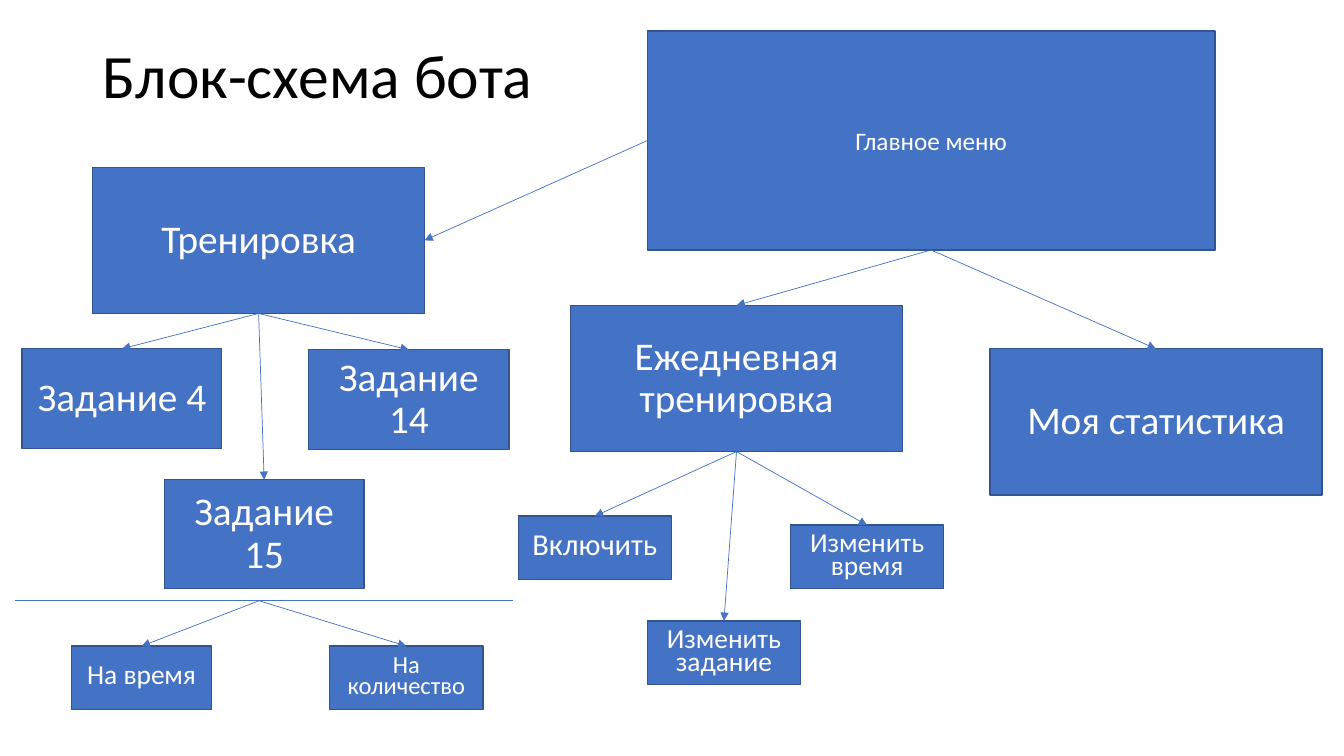
from dataclasses import dataclass

from lxml import etree
from pptx import Presentation
from pptx import util as u
from pptx.dml.color import RGBColor
from pptx.enum import shapes, text
from pptx.oxml.ns import qn


@dataclass(frozen=True)
class Theme:
    font: str = "Calibri"
    fill: RGBColor = RGBColor(0x44, 0x72, 0xC4)
    border: RGBColor = RGBColor(0x32, 0x54, 0x91)
    title_color: RGBColor = RGBColor(0, 0, 0)
    node_color: RGBColor = RGBColor(0xFF, 0xFF, 0xFF)
    title: float = 44
    menu: float = 18
    section: float = 28
    option: float = 21.7
    option_small: float = 19.6
    option_tiny: float = 17.5


THEME = Theme()
TOP, LEFT, BOTTOM, RIGHT = range(4)


def add_title(s, x, y, w, h, label):
    tf = s.shapes.add_textbox(*map(u.Inches, (x, y, w, h))).text_frame
    tf.word_wrap = True
    tf.vertical_anchor = text.MSO_ANCHOR.TOP
    p = tf.paragraphs[0]
    p.text = label
    p.line_spacing = 0.9
    p.font.name, p.font.size = THEME.font, u.Pt(THEME.title)
    p.font.color.rgb = THEME.title_color


def add_node(s, x, y, w, h, label, size=THEME.section, spacing=0.9, before=10):
    sp = s.shapes.add_shape(shapes.MSO_SHAPE.RECTANGLE, *map(u.Inches, (x, y, w, h)))
    sp.shadow.inherit = False
    sp.fill.solid()
    sp.fill.fore_color.rgb = THEME.fill
    sp.line.color.rgb = THEME.border
    sp.line.width = u.Pt(1)
    tf = sp.text_frame
    tf.word_wrap = True
    tf.vertical_anchor = text.MSO_ANCHOR.MIDDLE
    p = tf.paragraphs[0]
    p.text = label
    p.alignment = text.PP_ALIGN.CENTER
    p.line_spacing, p.space_before = spacing, u.Pt(before)
    p.font.name, p.font.size = THEME.font, u.Pt(size)
    p.font.color.rgb = THEME.node_color
    return sp


def add_option(s, x, y, label, size=THEME.option_small, w=1.52):
    return add_node(s, x, y, w, 0.63, label, size, spacing=0.7)


def add_line(s, x1, y1, x2, y2, arrow=False):
    c = s.shapes.add_connector(shapes.MSO_CONNECTOR.STRAIGHT,
                               *map(u.Inches, (x1, y1, x2, y2)))
    c.line.color.rgb = THEME.fill
    c.line.width = u.Pt(0.5)
    if arrow:
        etree.SubElement(c.line._get_or_add_ln(), qn("a:tailEnd"), type="triangle")
    etree.SubElement(c._element.spPr, qn("a:effectLst"))
    return c


def link(s, parent, child, start=BOTTOM, end=TOP):
    c = add_line(s, 0, 0, 1, 1, arrow=True)
    c.begin_connect(parent, start)
    c.end_connect(child, end)


def add_training(s, x, y):
    """Training branch: tasks, then the modes shared by all of them."""
    training = add_node(s, x + 0.77, y, 3.29, 1.45, "Тренировка")
    for dx, dy, w, h, label in [
        (0.07, 1.8, 1.98, 0.99, "Задание 4"),
        (2.91, 1.81, 1.99, 0.99, "Задание 14"),
        (1.48, 3.1, 1.98, 1.08, "Задание 15"),
    ]:
        link(s, training, add_node(s, x + dx, y + dy, w, h, label))

    # Divider and modes
    divider_y = y + 4.3
    add_line(s, x, divider_y, x + 4.94, divider_y)
    for dx, w, label, size in [
        (0.56, 1.39, "На время", THEME.option_small),
        (3.12, 1.52, "На количество", THEME.option_tiny),
    ]:
        mode = add_option(s, x + dx, divider_y + 0.45, label, size, w)
        arrow = add_line(s, x + 2.42, divider_y, x + dx, divider_y, arrow=True)
        arrow.end_connect(mode, TOP)
    return training


def add_daily(s, x, y):
    """Daily training branch with its settings."""
    daily = add_node(s, x + 0.52, y, 3.29, 1.45, "Ежедневная тренировка")
    for dx, dy, label, size in [
        (0, 2.09, "Включить", THEME.option),
        (1.28, 3.13, "Изменить задание", THEME.option_small),
        (2.7, 2.18, "Изменить время", THEME.option_small),
    ]:
        link(s, daily, add_option(s, x + dx, y + dy, label, size))
    return daily


def add_flowchart_slide(prs):
    s = prs.slides.add_slide(prs.slide_layouts[6])
    add_title(s, 0.92, 0.4, 11.5, 1.45, "Блок-схема бота")

    # Main menu and its three branches
    menu = add_node(s, 6.42, 0.31, 5.63, 2.17, "Главное меню", THEME.menu, 1, 0)
    link(s, menu, add_training(s, 0.15, 1.66), LEFT, RIGHT)
    link(s, menu, add_daily(s, 5.14, 3.03))
    link(s, menu, add_node(s, 9.82, 3.46, 3.29, 1.45, "Моя статистика"))


def main():
    prs = Presentation()
    prs.slide_width, prs.slide_height = u.Inches(13.33), u.Inches(7.5)
    add_flowchart_slide(prs)
    prs.save("out.pptx")


if __name__ == "__main__":
    main()
